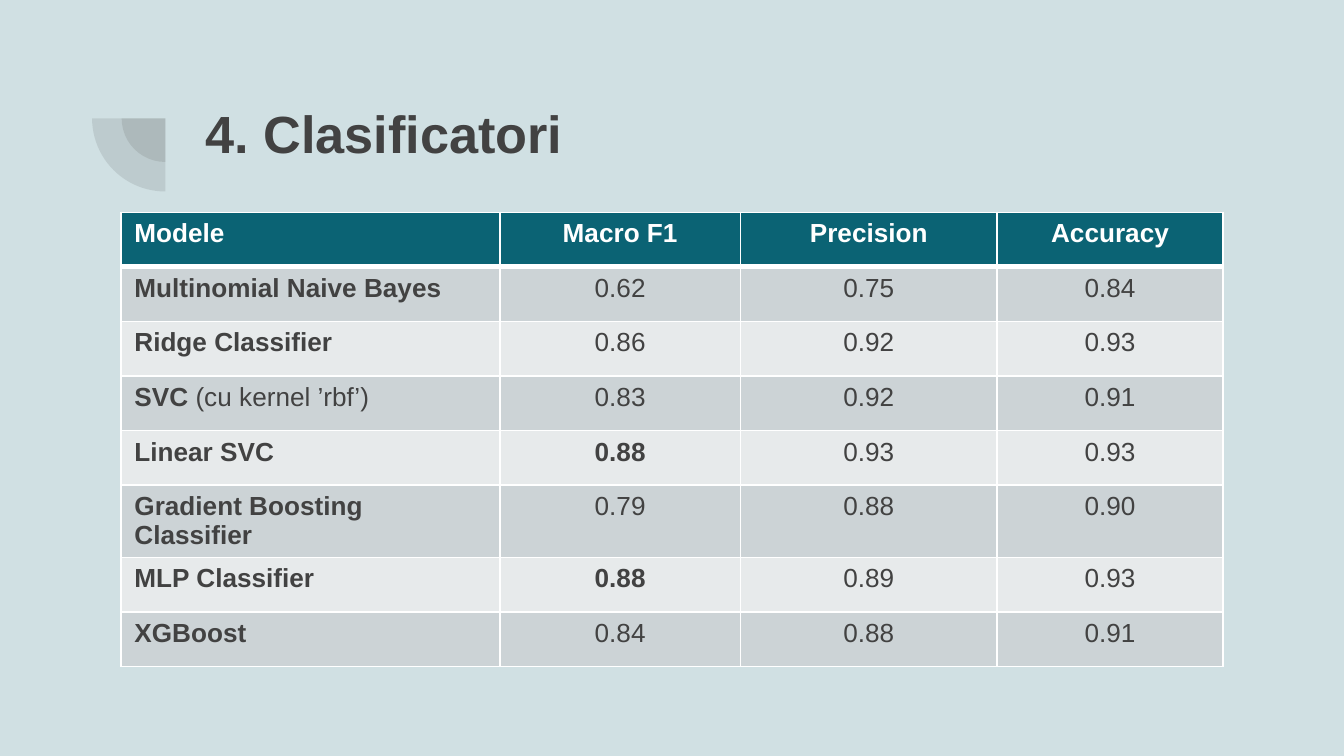
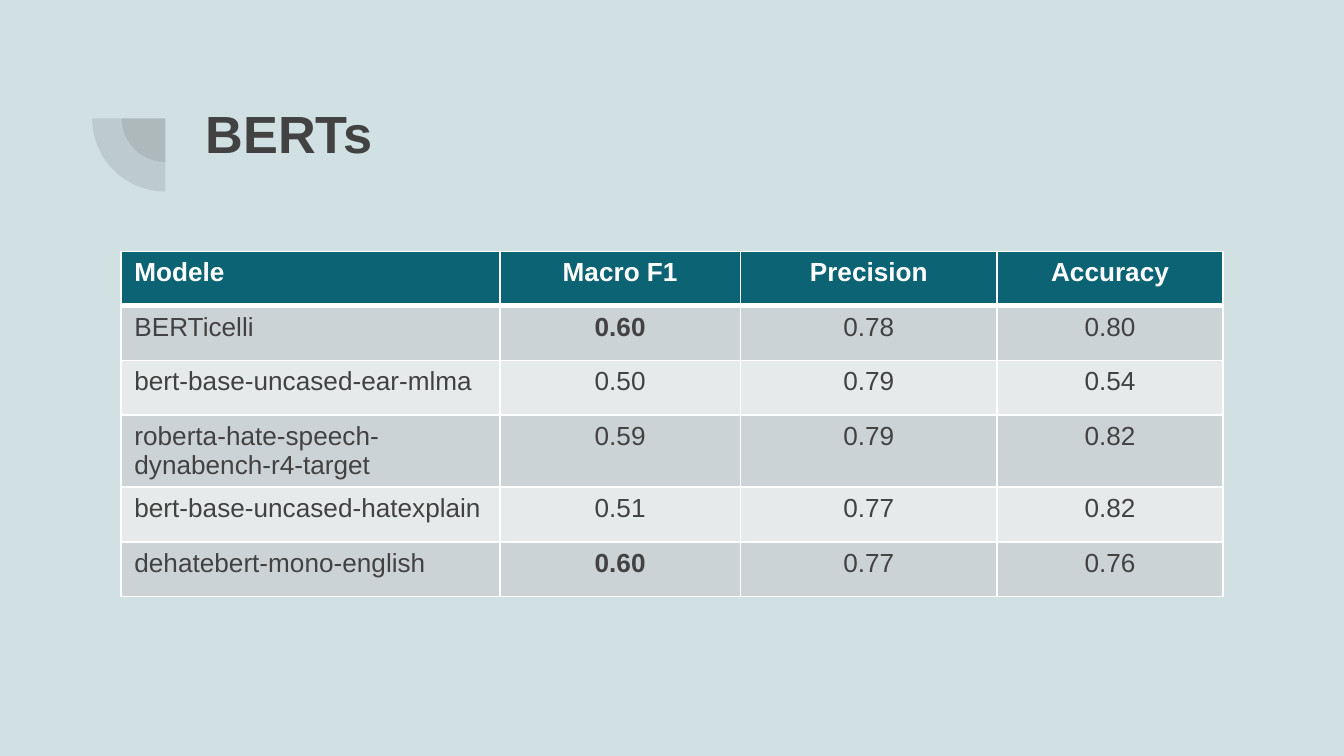
from dataclasses import dataclass
from typing import NamedTuple

from lxml import etree
from pptx import Presentation
from pptx.dml.color import RGBColor
from pptx.enum import shapes, text
from pptx.oxml import ns
from pptx.util import Inches, Pt

FONT = "Arial"
INK, WHITE, BACKGROUND = "424242", "FFFFFF", "D0E0E3"
HEADER_FILL, BAND_FILLS = "0B6374", ("CCD3D6", "E7EAEB")

PAGE_WIDTH = 10
PAGE_HEIGHT = PAGE_WIDTH * 9 / 16

HEADERS = ("Modele", "Macro F1", "Precision", "Accuracy")
COLUMN_WIDTHS = (2.82, 1.79, 1.91, 1.68)
TABLE_LEFT = 0.9
ROW_HEIGHT = 3.25 / 8

PIE_CENTRE = (1.23, 0.88)
PIE_SIZES = (0.65, 1.09)
PIE_OPACITY = 13


class Model(NamedTuple):
    name: str
    f1: str
    precision: str
    accuracy: str
    best: bool = False
    note: str = ""


@dataclass
class ResultsPage:
    title: str
    table_top: float
    bold_names: bool
    models: list[Model]


PAGES = [
    ResultsPage("4. Clasificatori", 1.58, True, [
        Model("Multinomial Naive Bayes", "0.62", "0.75", "0.84"),
        Model("Ridge Classifier", "0.86", "0.92", "0.93"),
        Model("SVC ", "0.83", "0.92", "0.91", note="(cu kernel ’rbf’)"),
        Model("Linear SVC", "0.88", "0.93", "0.93", best=True),
        Model("Gradient Boosting Classifier", "0.79", "0.88", "0.90"),
        Model("MLP Classifier", "0.88", "0.89", "0.93", best=True),
        Model("XGBoost", "0.84", "0.88", "0.91"),
    ]),
    ResultsPage("BERTs", 1.87, False, [
        Model("BERTicelli", "0.60", "0.78", "0.80", best=True),
        Model("bert-base-uncased-ear-mlma", "0.50", "0.79", "0.54"),
        Model("roberta-hate-speech-dynabench-r4-target", "0.59", "0.79", "0.82"),
        Model("bert-base-uncased-hatexplain", "0.51", "0.77", "0.82"),
        Model("dehatebert-mono-english", "0.60", "0.77", "0.76", best=True),
    ]),
]


def paint(fill, colour: str) -> None:
    fill.solid()
    fill.fore_color.rgb = RGBColor.from_string(colour)


def add_span(para, words: str, size: float, colour: str, bold: bool) -> None:
    span = para.add_run()
    span.text = words
    span.font.name = FONT
    span.font.size = Pt(size)
    span.font.bold = bold
    paint(span.font.fill, colour)


def add_pies(page) -> None:
    """Draw the two translucent quarter discs beside the title."""
    centre_x, centre_y = PIE_CENTRE
    for size in PIE_SIZES:
        pie = page.shapes.add_shape(
            shapes.MSO_SHAPE.PIE, Inches(centre_x - size / 2),
            Inches(centre_y - size / 2), Inches(size), Inches(size))
        pie.adjustments[0], pie.adjustments[1] = 107.93, 162
        pie.rotation = 270
        pie.shadow.inherit = False
        pie.line.fill.background()
        paint(pie.fill, INK)
        colour = pie._element.spPr.find(".//" + ns.qn("a:srgbClr"))
        etree.SubElement(colour, ns.qn("a:alpha"), val=str(PIE_OPACITY * 1000))


def set_title(page, words: str) -> None:
    title = page.shapes.title
    title.left, title.top = Inches(1.43), Inches(0.65)
    title.width, title.height = Inches(7.69), Inches(1.09)
    frame = title.text_frame
    frame.margin_left = frame.margin_right = Inches(0.1)
    frame.margin_top = frame.margin_bottom = Inches(0.1)
    frame.vertical_anchor = text.MSO_ANCHOR.TOP
    frame.auto_size = text.MSO_AUTO_SIZE.NONE
    para = frame.paragraphs[0]
    para.alignment = text.PP_ALIGN.LEFT
    add_span(para, words, 28, INK, True)


def set_borders(cell, top: float, bottom: float) -> None:
    properties = cell._tc.get_or_add_tcPr()
    for side, width in (("L", 1), ("R", 1), ("T", top), ("B", bottom)):
        line = etree.SubElement(properties, ns.qn(f"a:ln{side}"), w=str(Pt(width)))
        fill = etree.SubElement(line, ns.qn("a:solidFill"))
        etree.SubElement(fill, ns.qn("a:srgbClr"), val=WHITE)


def fill_row(table, index: int, cells: list[list[tuple[str, bool]]]) -> None:
    """Write one row; each cell is a list of (words, bold) spans."""
    header = index == 0
    fill = HEADER_FILL if header else BAND_FILLS[(index - 1) % 2]
    for column, spans in enumerate(cells):
        cell = table.cell(index, column)
        set_borders(cell, 3 if index == 1 else 1, 3 if header else 1)
        paint(cell.fill, fill)
        para = cell.text_frame.paragraphs[0]
        para.alignment = text.PP_ALIGN.CENTER if column else text.PP_ALIGN.LEFT
        for words, bold in spans:
            add_span(para, words, 14, WHITE if header else INK, bold)


def add_results(page, results: ResultsPage) -> None:
    rows = len(results.models) + 1
    table = page.shapes.add_table(
        rows, len(HEADERS), Inches(TABLE_LEFT), Inches(results.table_top),
        Inches(sum(COLUMN_WIDTHS)), Inches(ROW_HEIGHT * rows)).table
    for column, width in zip(table.columns, COLUMN_WIDTHS):
        column.width = Inches(width)
    fill_row(table, 0, [[(header, True)] for header in HEADERS])
    for index, model in enumerate(results.models, start=1):
        name = [(model.name, results.bold_names)]
        if model.note:
            name.append((model.note, False))
        fill_row(table, index, [name, [(model.f1, model.best)],
                                [(model.precision, False)], [(model.accuracy, False)]])


def main() -> None:
    deck = Presentation()
    deck.slide_width, deck.slide_height = Inches(PAGE_WIDTH), Inches(PAGE_HEIGHT)
    paint(deck.slide_master.background.fill, BACKGROUND)
    title_only = deck.slide_layouts[5]
    for results in PAGES:
        page = deck.slides.add_slide(title_only)
        add_pies(page)
        set_title(page, results.title)
        add_results(page, results)
    deck.save("out.pptx")


if __name__ == "__main__":
    main()
